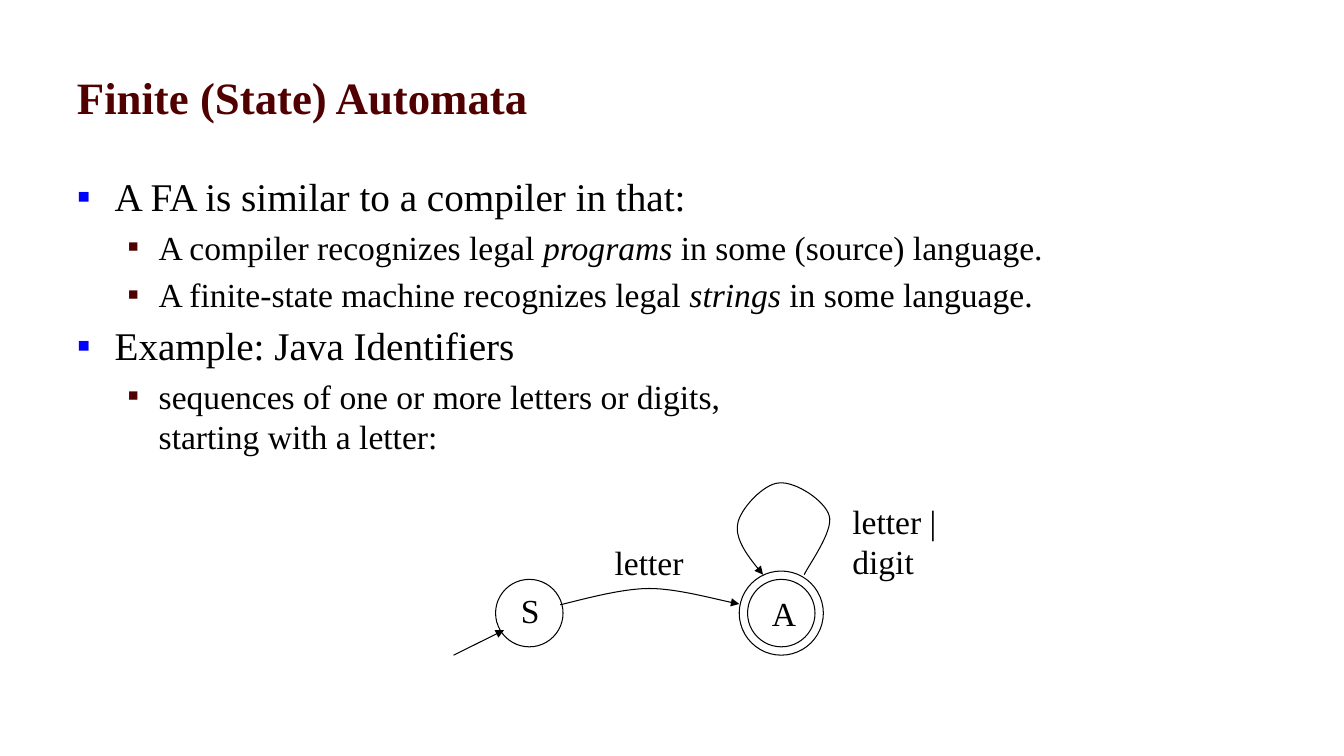
from dataclasses import dataclass

from lxml.etree import SubElement
from pptx import Presentation
from pptx.dml.color import RGBColor
from pptx.enum.shapes import MSO_CONNECTOR, MSO_SHAPE
from pptx.enum.text import MSO_ANCHOR, MSO_AUTO_SIZE
from pptx.oxml.ns import qn
from pptx.util import Cm, Pt

FONT = "Times New Roman"
BLACK = RGBColor(0x00, 0x00, 0x00)
MAROON = RGBColor(0x50, 0x00, 0x00)
BLUE = RGBColor(0x00, 0x00, 0xFF)

Point = tuple[float, float]


@dataclass(frozen=True)
class Level:
    size: int
    margin: float
    hanging: float
    bullet_color: RGBColor


@dataclass(frozen=True)
class Item:
    level: int
    phrases: tuple[str, ...]  # every second phrase is italic


@dataclass(frozen=True)
class Label:
    text: str
    left: float
    top: float
    width: float
    height: float = 1.27


@dataclass(frozen=True)
class Circle:
    x: float
    y: float
    radius: float


LEVELS = (Level(28, 0.95, 0.95, BLUE), Level(24, 2.06, 0.79, MAROON))
ITEMS = (
    Item(0, ("A FA is similar to a compiler in that:",)),
    Item(1, ("A compiler recognizes legal ", "programs", " in some (source) language.")),
    Item(1, ("A finite-state machine recognizes legal ", "strings", " in some language.")),
    Item(0, ("Example: Java Identifiers",)),
    Item(1, ("sequences of one or more letters or digits,\nstarting with a letter:",)),
)
CIRCLES = (
    Circle(13.34, 15.45, 0.85),
    Circle(19.69, 15.45, 0.85),
    Circle(19.69, 15.45, 1.06),
)
LABELS = (
    Label("letter", 15.24, 13.54, 2.24),
    Label("letter |\ndigit", 21.23, 12.5, 2.62, 2.3),
    Label("S", 12.88, 14.73, 0.99),
    Label("A", 19.2, 14.81, 1.12),
)
# Bezier control points: a start, then three points per segment
STEP_CURVE = (
    (14.12, 15.24),
    (14.48, 15.16), (15.62, 14.83), (16.36, 14.83),
    (17.12, 14.83), (18.16, 15.14), (18.63, 15.22),
)
LOOP_CURVE = (
    (20.27, 14.48),
    (20.37, 14.25), (21.01, 13.39), (20.9, 13.0),
    (20.8, 12.62), (20.04, 12.12), (19.63, 12.17),
    (19.25, 12.19), (18.64, 12.83), (18.59, 13.21),
    (18.52, 13.61), (18.87, 14.05), (19.23, 14.48),
)


def add_text(p, text: str, *, size: int, color: RGBColor = BLACK,
             bold: bool = False, italic: bool = False) -> None:
    for i, line in enumerate(text.split("\n")):
        if i:
            p.add_line_break()
        r = p.add_run()
        r.text = line
        r.font.name, r.font.size = FONT, Pt(size)
        r.font.bold, r.font.italic = bold, italic
        r.font.color.rgb = color


def add_box(s, left: float, top: float, width: float, height: float,
            wrap: bool = True):
    sp = s.shapes.add_textbox(Cm(left), Cm(top), Cm(width), Cm(height))
    sp.text_frame.word_wrap = wrap
    return sp.text_frame


def set_bullet(p, level: Level) -> None:
    pPr = p._p.get_or_add_pPr()
    pPr.set("marL", str(Cm(level.margin)))
    pPr.set("indent", str(-Cm(level.hanging)))
    color = SubElement(pPr, qn("a:buClr"))
    SubElement(color, qn("a:srgbClr"), val=str(level.bullet_color))
    SubElement(pPr, qn("a:buFont"), typeface=FONT)
    SubElement(pPr, qn("a:buChar"), char="▪")


def add_items(tf) -> None:
    for i, item in enumerate(ITEMS):
        level = LEVELS[item.level]
        p = tf.add_paragraph() if i else tf.paragraphs[0]
        p.level = item.level
        set_bullet(p, level)
        if i:
            p.space_before = Pt(level.size * 0.2)
        for j, phrase in enumerate(item.phrases):
            add_text(p, phrase, size=level.size, italic=j % 2 == 1)


def set_line(sp, arrow: bool = False) -> None:
    sp.line.color.rgb = BLACK
    sp.line.width = Pt(0.75)
    if arrow:
        SubElement(sp.line._get_or_add_ln(), qn("a:tailEnd"), type="triangle")


def add_circle(s, c: Circle) -> None:
    sp = s.shapes.add_shape(MSO_SHAPE.OVAL, Cm(c.x - c.radius), Cm(c.y - c.radius),
                            Cm(2 * c.radius), Cm(2 * c.radius))
    sp.shadow.inherit = False
    sp.fill.background()
    set_line(sp)


def bezier(a: Point, b: Point, c: Point, d: Point, t: float) -> Point:
    u = 1 - t
    x, y = (u**3 * k + 3 * u * u * t * m + 3 * u * t * t * n + t**3 * q
            for k, m, n, q in zip(a, b, c, d))
    return x, y


def add_curve(s, points: tuple[Point, ...], steps: int = 16) -> None:
    vertices = [bezier(*points[i:i + 4], n / steps)
                for i in range(0, len(points) - 1, 3) for n in range(1, steps + 1)]
    start_x, start_y = points[0]
    builder = s.shapes.build_freeform(Cm(start_x), Cm(start_y))
    builder.add_line_segments([(Cm(x), Cm(y)) for x, y in vertices], close=False)
    sp = builder.convert_to_shape()
    sp.shadow.inherit = False
    sp.fill.background()
    set_line(sp, arrow=True)


def add_arrow(s, start: Point, end: Point) -> None:
    sp = s.shapes.add_connector(MSO_CONNECTOR.STRAIGHT, *map(Cm, start + end))
    set_line(sp, arrow=True)
    SubElement(sp._element.spPr, qn("a:effectLst"))


def main() -> None:
    prs = Presentation()
    prs.slide_width, prs.slide_height = Cm(33.87), Cm(19.05)
    s = prs.slides.add_slide(prs.slide_layouts[6])

    # Title and bullets
    tf = add_box(s, 1.69, 0.85, 30.48, 3.18)
    tf.vertical_anchor = MSO_ANCHOR.MIDDLE
    add_text(tf.paragraphs[0], "Finite (State) Automata", size=32, color=MAROON, bold=True)
    add_items(add_box(s, 1.69, 4.23, 30.27, 12.91))

    # States and transitions
    for circle in CIRCLES:
        add_circle(s, circle)
    for curve in (STEP_CURVE, LOOP_CURVE):
        add_curve(s, curve)
    add_arrow(s, (11.43, 16.51), (12.7, 15.88))

    # Labels
    for label in LABELS:
        tf = add_box(s, label.left, label.top, label.width, label.height, wrap=False)
        tf.auto_size = MSO_AUTO_SIZE.SHAPE_TO_FIT_TEXT
        add_text(tf.paragraphs[0], label.text, size=24)

    prs.save("out.pptx")


if __name__ == "__main__":
    main()
